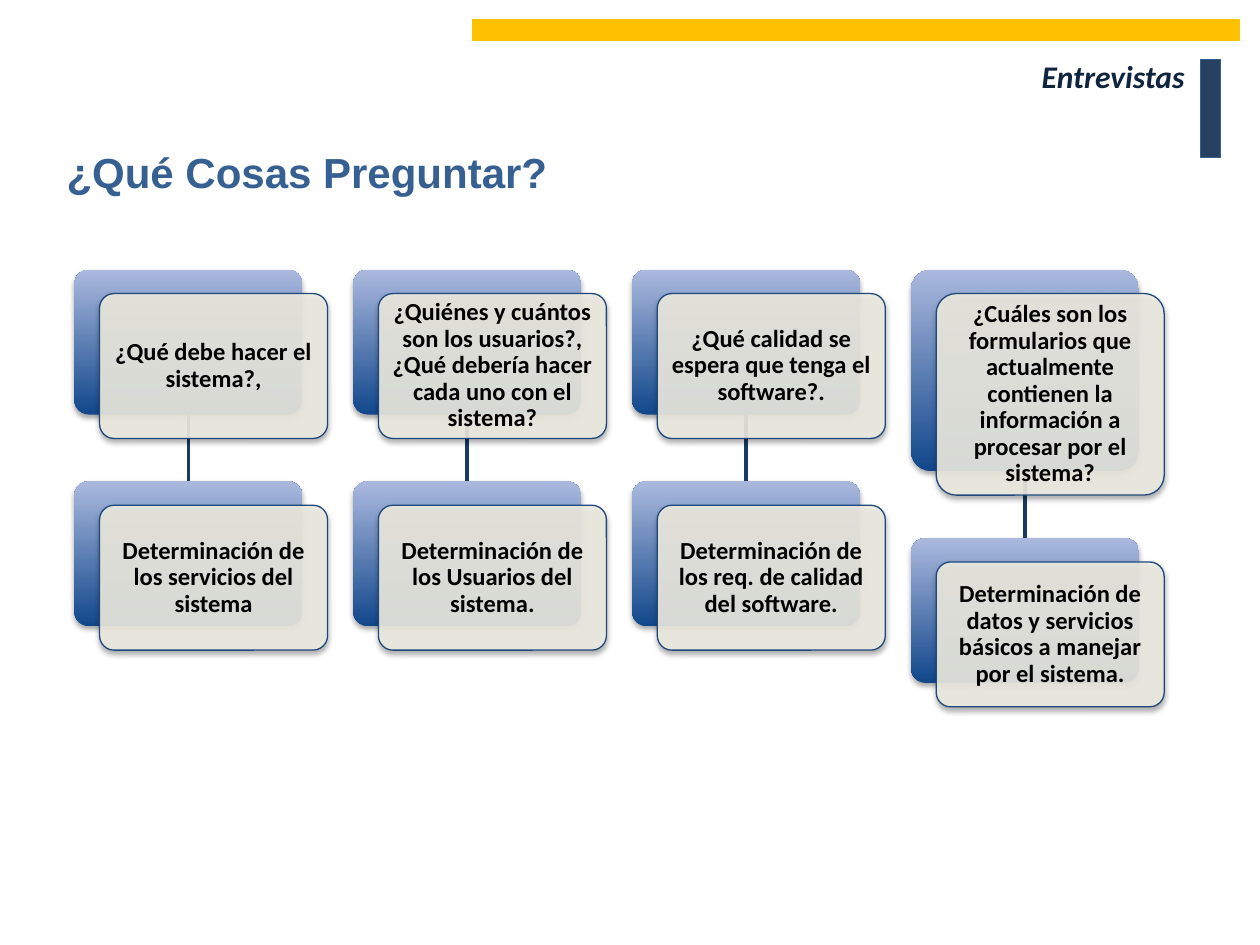
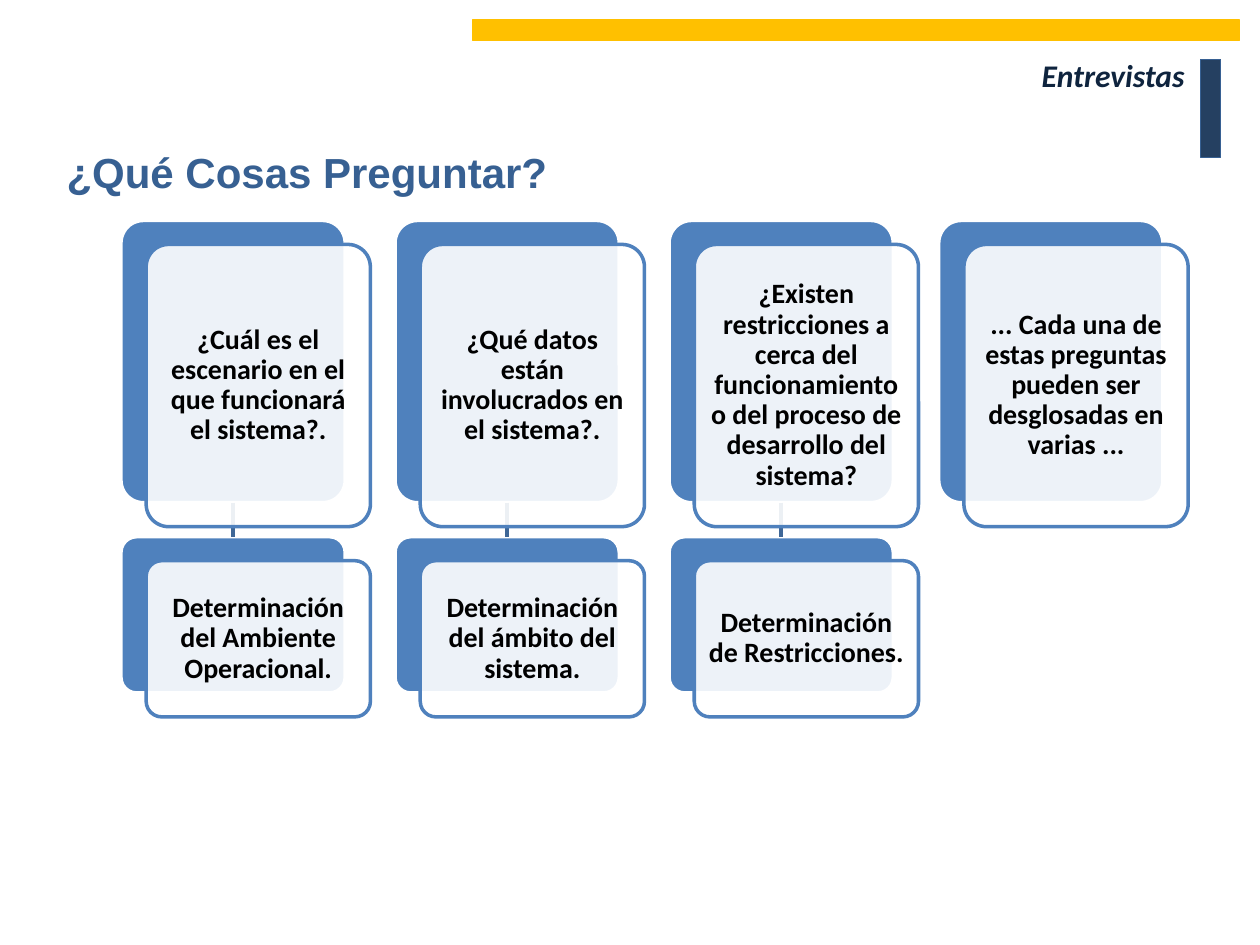
from dataclasses import dataclass

from lxml import etree
from pptx import Presentation
from pptx.dml.color import RGBColor
from pptx.enum.shapes import MSO_CONNECTOR, MSO_SHAPE
from pptx.enum.text import MSO_ANCHOR, PP_ALIGN
from pptx.oxml.ns import qn
from pptx.util import Inches, Pt

RECTANGLE = MSO_SHAPE.RECTANGLE
ROUNDED = MSO_SHAPE.ROUNDED_RECTANGLE
STRAIGHT = MSO_CONNECTOR.STRAIGHT
MIDDLE = MSO_ANCHOR.MIDDLE
LEFT, CENTER, RIGHT = PP_ALIGN.LEFT, PP_ALIGN.CENTER, PP_ALIGN.RIGHT
TOP_SIDE, BOTTOM_SIDE = 0, 2

NAVY = "254061"
BLUE = "376092"
AMBER = "FFC000"
HEADER_INK = "0F243E"
BLACK = "000000"
WHITE = "FFFFFF"
CARD_OFFSET = (0.2, 0.19)
CARD_OPACITY = 90


@dataclass
class DiagramStyle:
    card_width: float
    answer_height: float
    gap: float
    base_fill: tuple
    base_line: str
    card_fill: str
    card_line: str
    line_width: float
    link: str
    text_size: int
    inset: float
    shadow: bool


GRADIENT_STYLE = DiagramStyle(
    card_width=1.81, answer_height=1.15, gap=0.53,
    base_fill=("11478B", "ABB9DE"), base_line=None,
    card_fill="EEECE1", card_line="1F497D", line_width=0.75,
    link="193A64", text_size=14, inset=0.06, shadow=True)

FLAT_STYLE = DiagramStyle(
    card_width=1.78, answer_height=1.24, gap=0.27,
    base_fill=("4F81BD",), base_line=WHITE,
    card_fill=WHITE, card_line="4F81BD", line_width=2,
    link="3F6797", text_size=16, inset=0.07, shadow=False)

SYSTEM_QUESTIONS = [
    ("¿Qué debe hacer el sistema?,", 1.15,
     "Determinación de los servicios del sistema"),
    ("¿Quiénes y cuántos son los usuarios?, ¿Qué debería hacer cada uno con el sistema?", 1.15,
     "Determinación de los Usuarios del sistema."),
    ("¿Qué calidad se espera que tenga el software?.", 1.15,
     "Determinación de los req. de calidad del software."),
    ("¿Cuáles son los formularios que actualmente contienen la información "
     "a procesar por el sistema?", 1.6,
     "Determinación de datos y servicios básicos a manejar por el sistema."),
]

CONTEXT_QUESTIONS = [
    ("¿Cuál es el escenario en el que funcionará el sistema?.", 2.24,
     "Determinación del Ambiente Operacional."),
    ("¿Qué datos están involucrados en el sistema?.", 2.24,
     "Determinación del ámbito del sistema."),
    ("¿Existen restricciones a cerca del funcionamiento o del proceso "
     "de desarrollo del sistema?", 2.24,
     "Determinación de Restricciones."),
    ("... Cada una de estas preguntas pueden ser desglosadas en varias ...", 2.24, None),
]


def color(code):
    return RGBColor.from_string(code)


def evenly(first, last, count):
    return [first + i * (last - first) / (count - 1) for i in range(count)]


def write(shape, text, size, ink, font="Calibri", italic=False, align=LEFT,
          insets=(0.1, 0.05), spacing=None):
    frame = shape.text_frame
    frame.word_wrap = True
    frame.vertical_anchor = MIDDLE
    frame.margin_left = frame.margin_right = Inches(insets[0])
    frame.margin_top = frame.margin_bottom = Inches(insets[1])
    paragraph = frame.paragraphs[0]
    paragraph.alignment = align
    paragraph.line_spacing = spacing
    run = paragraph.add_run()
    run.text = text
    run.font.name = font
    run.font.size = Pt(size)
    run.font.bold = True
    run.font.italic = italic
    run.font.color.rgb = color(ink)


def add_label(slide, box, text, **text_format):
    write(slide.shapes.add_textbox(*map(Inches, box)), text, **text_format)


def add_block(slide, preset, box, fills, line=None, width=0.75):
    block = slide.shapes.add_shape(preset, *map(Inches, box))
    block.shadow.inherit = False
    if len(fills) == 1:
        block.fill.solid()
        block.fill.fore_color.rgb = color(fills[0])
    else:
        block.fill.gradient()
        block.fill.gradient_angle = 90
        for stop, code in zip(block.fill.gradient_stops, fills):
            stop.color.rgb = color(code)
    if line:
        block.line.color.rgb = color(line)
        block.line.width = Pt(width)
    else:
        block.line.fill.background()
    return block


def set_alpha(color_node, percent):
    etree.SubElement(color_node, qn("a:alpha"), val=str(percent * 1000))


def add_shadow(shape):
    effects = shape.element.spPr.find(qn("a:effectLst"))
    shadow = etree.SubElement(effects, qn("a:outerShdw"), blurRad="40000",
                              dist="23000", dir="5400000", rotWithShape="0")
    set_alpha(etree.SubElement(shadow, qn("a:srgbClr"), val=BLACK), 35)


def add_card(slide, box, fills, line, style):
    card = add_block(slide, ROUNDED, box, fills, line, style.line_width)
    card.adjustments[0] = 0.1
    if style.shadow:
        add_shadow(card)
    return card


def add_front_card(slide, base_box, text, style):
    left, top, width, height = base_box
    box = (left + CARD_OFFSET[0], top + CARD_OFFSET[1], width, height)
    card = add_card(slide, box, (style.card_fill,), style.card_line, style)
    fill = card.element.spPr.find(qn("a:solidFill"))
    set_alpha(fill.find(qn("a:srgbClr")), CARD_OPACITY)
    write(card, text, size=style.text_size, ink=BLACK, align=CENTER,
          insets=(style.inset, style.inset), spacing=0.9)


def add_link(slide, question, answer, style):
    link = slide.shapes.add_connector(STRAIGHT, 0, 0, 0, 0)
    link.begin_connect(question, BOTTOM_SIDE)
    link.end_connect(answer, TOP_SIDE)
    link.line.color.rgb = color(style.link)
    link.line.width = Pt(2)
    etree.SubElement(link.element.spPr, qn("a:effectLst"))


def add_question_column(slide, left, top, column, style):
    question, question_height, answer = column
    levels = [(question, (left, top, style.card_width, question_height))]
    if answer:
        answer_top = top + question_height + style.gap
        levels.append((answer, (left, answer_top, style.card_width, style.answer_height)))
    bases = [add_card(slide, box, style.base_fill, style.base_line, style)
             for _, box in levels]
    if answer:
        add_link(slide, *bases, style)
    for text, box in levels:
        add_front_card(slide, box, text, style)


def add_question_slide(deck, header_top, top, lefts, columns, style):
    slide = deck.slides.add_slide(deck.slide_layouts[6])
    add_block(slide, RECTANGLE, (9.53, 0.47, 0.16, 0.78), (NAVY,), BLUE)
    add_block(slide, RECTANGLE, (3.75, 0.16, 6.09, 0.16), (AMBER,), AMBER)
    add_label(slide, (8.07, header_top, 1.43, 0.61), "Entrevistas",
              size=18, ink=HEADER_INK, italic=True, align=RIGHT)
    for left, column in zip(lefts, columns):
        add_question_column(slide, left, top, column, style)
    add_label(slide, (0.43, 0.99, 8.5, 0.75), "¿Qué Cosas Preguntar?",
              size=24, ink=BLUE, font="Arial")


def main():
    deck = Presentation()
    deck.slide_width = Inches(10)
    deck.slide_height = Inches(7.5)
    add_question_slide(deck, 0.3, 2.14, evenly(0.59, 7.23, 4),
                       SYSTEM_QUESTIONS, GRADIENT_STYLE)
    add_question_slide(deck, 0.29, 1.75, evenly(0.96, 5.31, 3) + [7.45],
                       CONTEXT_QUESTIONS, FLAT_STYLE)
    deck.save("out.pptx")


if __name__ == "__main__":
    main()
